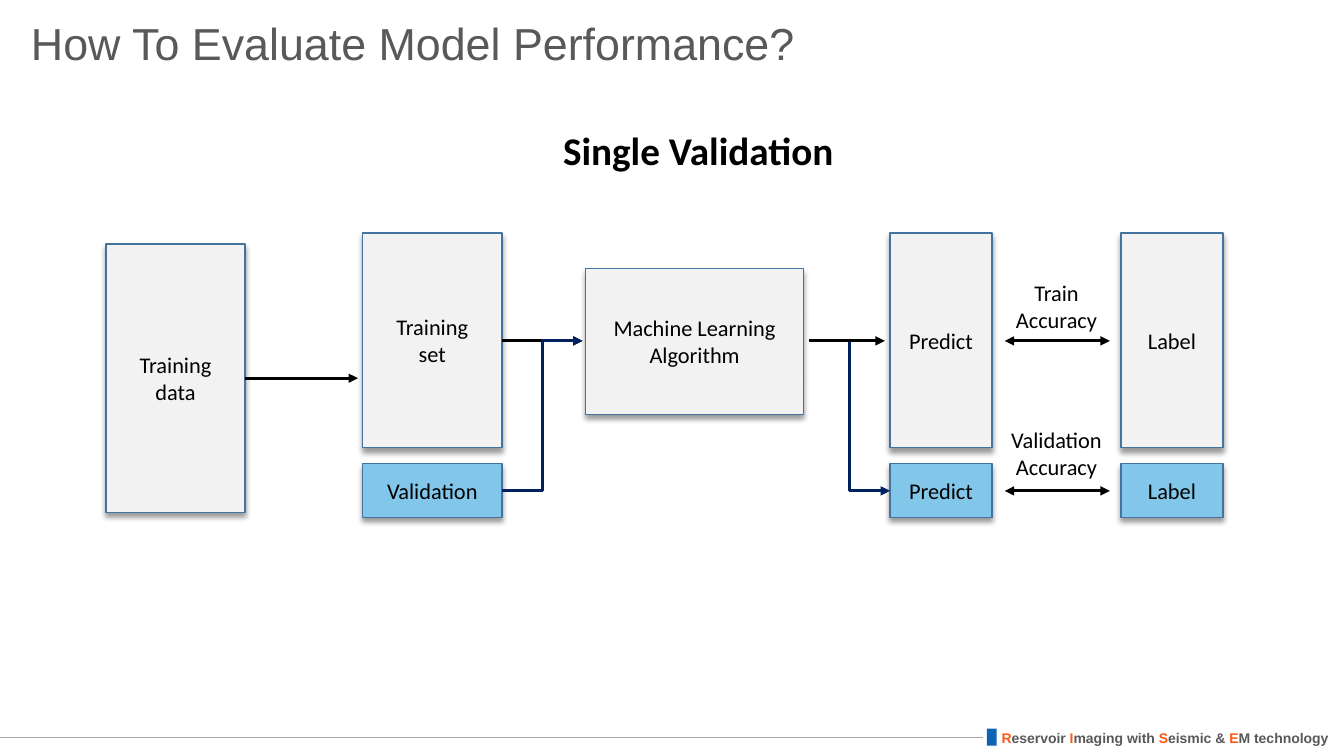
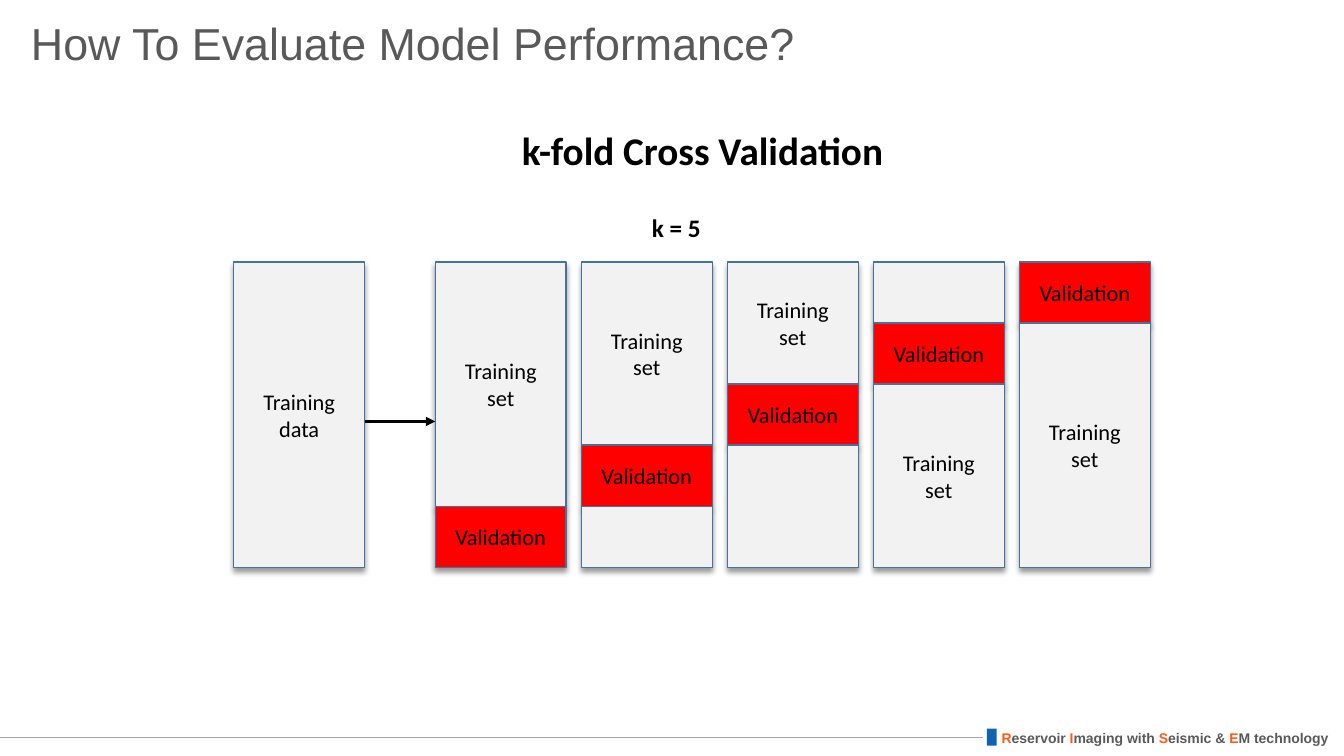
import pptx
import pptx.dml.color
import pptx.enum.shapes
import pptx.enum.text
import pptx.oxml
import pptx.oxml.ns
import pptx.util
from pptx.util import Cm

RGB = pptx.dml.color.RGBColor.from_string
Pt = pptx.util.Pt
Align = pptx.enum.text.PP_ALIGN
Anchor = pptx.enum.text.MSO_ANCHOR
Connector = pptx.enum.shapes.MSO_CONNECTOR
RECTANGLE = pptx.enum.shapes.MSO_SHAPE.RECTANGLE

THEME = {
    "colours": {
        "black": RGB("000000"), "text grey": RGB("595959"), "accent": RGB("FF5815"),
        "rule": RGB("A6A6A6"), "marker": RGB("0E64B2"), "outline": RGB("43739E"),
        "training": RGB("F2F2F2"), "validation": RGB("82C7EA"), "fold": RGB("FF0000"),
        "navy": RGB("002060"),
    },
    "fonts": {
        "title": {"name": "Arial", "size": Pt(32), "bold": False},
        "heading": {"name": "Calibri", "size": Pt(28), "bold": True},
        "subheading": {"name": "Calibri", "size": Pt(18), "bold": True},
        "label": {"name": "Calibri", "size": Pt(16), "bold": False},
        "footer": {"name": "Arial", "size": Pt(10), "bold": True},
    },
}
COLOURS = THEME["colours"]

SHADOW = (
    f'<a:outerShdw {pptx.oxml.ns.nsdecls("a")} blurRad="50800" dist="38100" dir="5400000" '
    'algn="t" rotWithShape="0"><a:srgbClr val="000000"><a:alpha val="40000"/></a:srgbClr>'
    '</a:outerShdw>'
)


def add_box(slide, frame, text="", font="label", colour="black", fill=None,
            align=Align.CENTER, anchor=Anchor.MIDDLE, wrap=True):
    """Add a filled, shadowed block, or a plain text box without fill; |text| is accented."""
    frame = [Cm(length) for length in frame]
    if fill:
        shape = slide.shapes.add_shape(RECTANGLE, *frame)
        shape.fill.solid()
        shape.fill.fore_color.rgb = COLOURS[fill]
        shape.line.color.rgb = COLOURS["outline"]
        shape.line.width = Pt(1)
        shape.shadow.inherit = False
        effects = shape._element.spPr.find(pptx.oxml.ns.qn("a:effectLst"))
        effects.append(pptx.oxml.parse_xml(SHADOW))
    else:
        shape = slide.shapes.add_textbox(*frame)
    text_frame = shape.text_frame
    text_frame.word_wrap = wrap
    text_frame.vertical_anchor = anchor
    for index, line in enumerate(text.split("\n")):
        paragraph = text_frame.add_paragraph() if index else text_frame.paragraphs[0]
        paragraph.alignment = align
        for position, part in enumerate(line.split("|")):
            if part:
                run = paragraph.add_run()
                run.text = part
                for name, value in THEME["fonts"][font].items():
                    setattr(run.font, name, value)
                run.font.color.rgb = COLOURS["accent" if position % 2 else colour]
    return shape


def add_line(slide, start, end, colour="black", width=2.25, ends=("tailEnd",),
             kind=Connector.STRAIGHT):
    """Draw a connector with triangles at the named ends (headEnd before tailEnd)."""
    connector = slide.shapes.add_connector(kind, *[Cm(length) for length in (*start, *end)])
    connector.line.color.rgb = COLOURS[colour]
    connector.line.width = Pt(width)
    outline = connector.line._get_or_add_ln()
    for name in ends:
        outline.append(pptx.oxml.parse_xml(
            f'<a:{name} {pptx.oxml.ns.nsdecls("a")} type="triangle"/>'))
    connector._element.spPr.append(pptx.oxml.parse_xml(
        f'<a:effectLst {pptx.oxml.ns.nsdecls("a")}/>'))


presentation = pptx.Presentation()
presentation.slide_width, presentation.slide_height = Cm(33.87), Cm(19.05)

# Shared title, heading and footer
PLAIN_TEXT = {"align": Align.LEFT, "anchor": Anchor.TOP}
HEADINGS = [("Single Validation", 13.94, 9.42), ("k-fold Cross Validation", 12.9, 11.1)]
slides = []
for heading, left, width in HEADINGS:
    slide = presentation.slides.add_slide(presentation.slide_layouts[6])
    slides.append(slide)
    add_box(slide, (24.99, 18.26, 8.84, 0.68),
            "|R|eservoir |I|maging with |S|eismic & |E|M technology",
            "footer", "text grey", wrap=False, **PLAIN_TEXT)
    add_line(slide, (24.77, 18.57), (0, 18.57), "rule", 0.5, ends=())
    marker = slide.shapes.add_shape(RECTANGLE, Cm(24.87), Cm(18.36), Cm(0.25), Cm(0.43))
    marker.fill.solid()
    marker.fill.fore_color.rgb = COLOURS["marker"]
    marker.line.fill.background()
    marker.shadow.inherit = False
    add_box(slide, (0.53, 0, 29.77, 2.13), "How To Evaluate Model Performance?",
            "title", "text grey", align=Align.LEFT)
    add_box(slide, (left, 3.06, width, 1.45), heading, "heading", **PLAIN_TEXT)
single_slide, fold_slide = slides

# Single validation: a training row above a validation row
TRAINING_ROW, VALIDATION_ROW = 8.59, 12.37
add_box(single_slide, (2.67, 6.15, 3.51, 6.76), "Training\ndata", fill="training")
add_box(single_slide, (14.76, 6.76, 5.49, 3.68), "Machine Learning Algorithm", fill="training")
for left, width, training_text, validation_text in [
    (9.14, 3.51, "Training\nset", "Validation"),
    (22.43, 2.57, "Predict", "Predict"),
    (28.25, 2.57, "Label", "Label"),
]:
    add_box(single_slide, (left, 5.87, width, 5.41), training_text, fill="training")
    add_box(single_slide, (left, 11.68, width, 1.36), validation_text, fill="validation")

add_line(single_slide, (6.18, 9.53), (9.02, 9.53))
add_line(single_slide, (12.65, TRAINING_ROW), (14.68, TRAINING_ROW))
for start, end in [
    ((12.65, VALIDATION_ROW), (14.68, TRAINING_ROW)),
    ((20.38, TRAINING_ROW), (22.43, VALIDATION_ROW)),
]:
    add_line(single_slide, start, end, "navy", kind=Connector.ELBOW)
add_line(single_slide, (20.4, TRAINING_ROW), (22.3, TRAINING_ROW))
for row, top, text in [
    (TRAINING_ROW, 6.91, "Train\nAccuracy"),
    (VALIDATION_ROW, 10.62, "Validation\nAccuracy"),
]:
    add_line(single_slide, (25.32, row), (27.97, row), ends=("headEnd", "tailEnd"))
    add_box(single_slide, (24.99, top, 3.27, 1.63), text, anchor=Anchor.TOP)

# Cross validation: the validation fold moves up one row per column
FOLDS = 5
FOLD_TOP, FOLD_HEIGHT = 6.6, 1.54
FOLD_LEFT, FOLD_WIDTH, FOLD_PITCH = 10.97, 3.3, 3.68
add_box(fold_slide, (5.89, FOLD_TOP, FOLD_WIDTH, FOLDS * FOLD_HEIGHT),
        "Training\ndata", fill="training")
for column in range(FOLDS):
    above, below = FOLDS - 1 - column, column
    blocks = [
        (0, above, "training", "Training\nset" if above >= below else ""),
        (above, 1, "fold", "Validation"),
        (above + 1, below, "training", "Training\nset" if below > above else ""),
    ]
    for row, count, fill, text in blocks:
        if count:
            add_box(fold_slide,
                    (FOLD_LEFT + column * FOLD_PITCH, FOLD_TOP + row * FOLD_HEIGHT,
                     FOLD_WIDTH, count * FOLD_HEIGHT), text, fill=fill)
add_line(fold_slide, (9.19, 10.62), (FOLD_LEFT, 10.62))
add_box(fold_slide, (16.18, 5.23, 1.75, 1.02), f"k = {FOLDS}", "subheading",
        wrap=False, **PLAIN_TEXT)

presentation.save("out.pptx")
